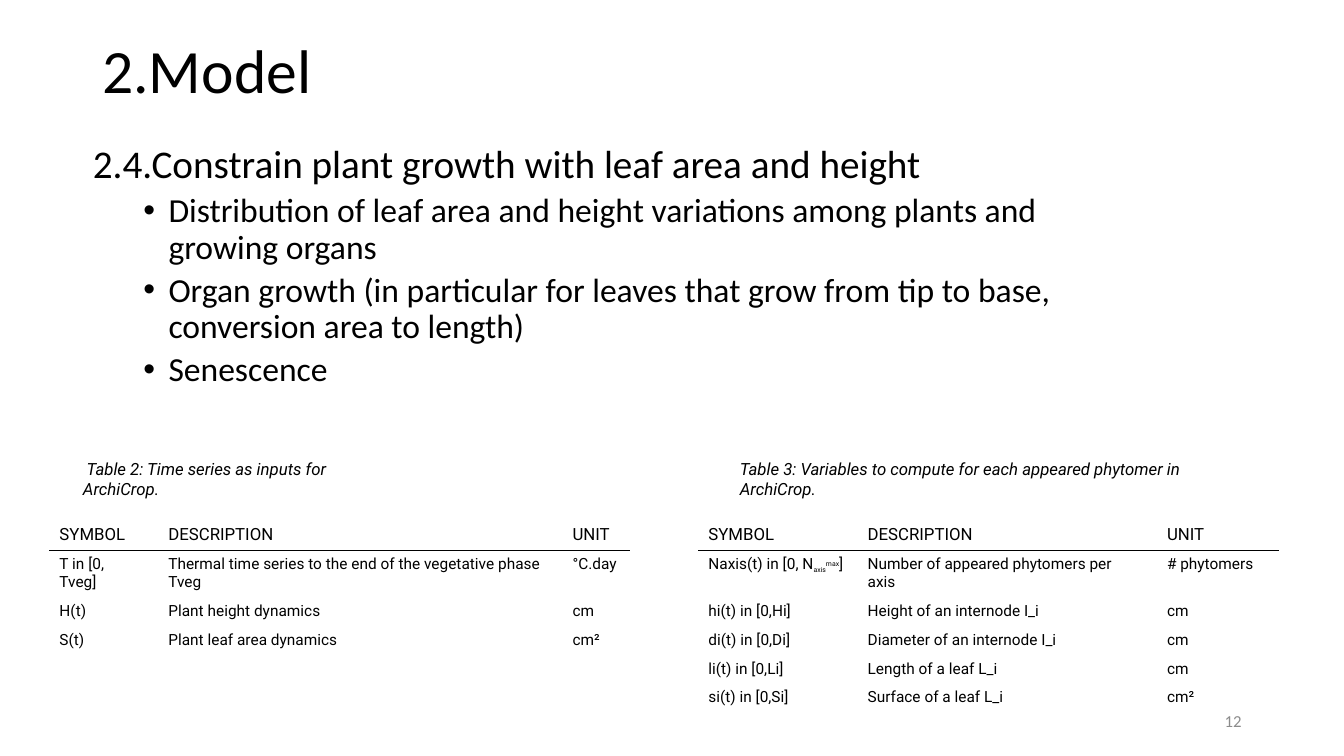
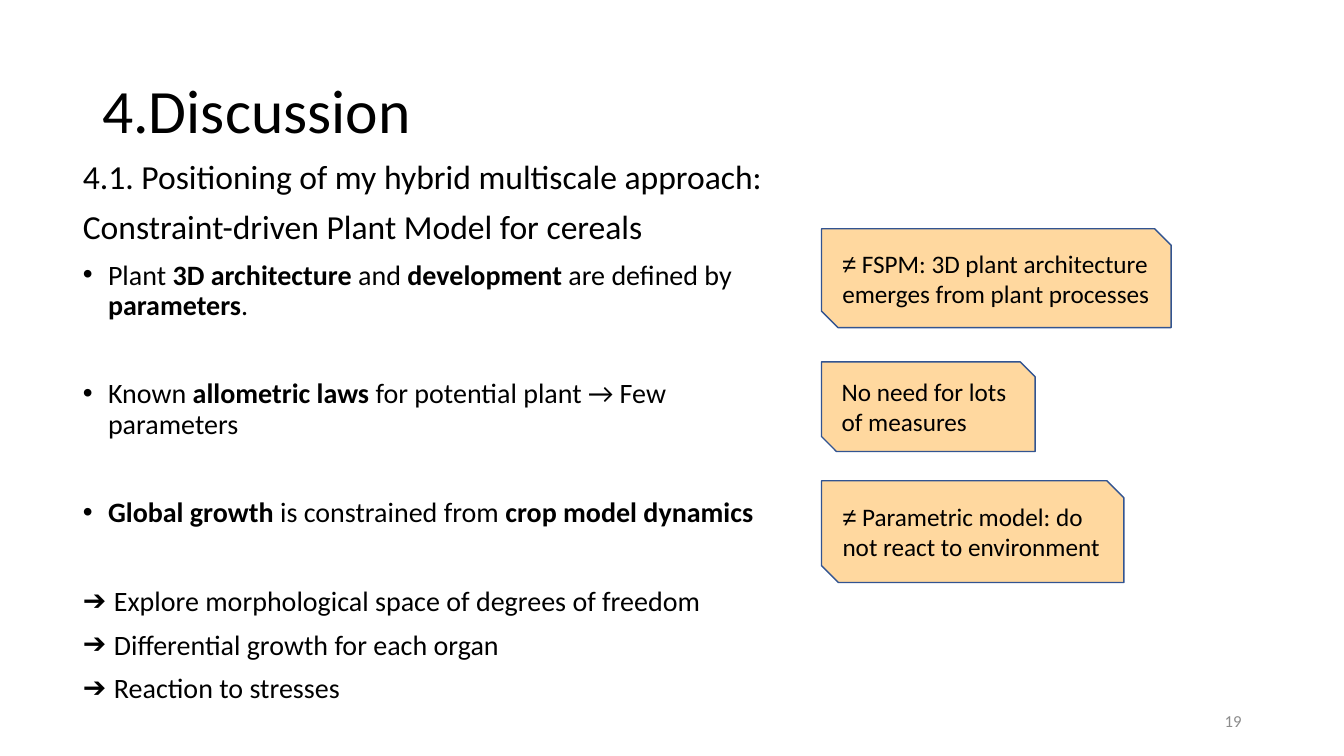
from dataclasses import dataclass

from lxml.etree import SubElement
from pptx import Presentation
from pptx.dml.color import RGBColor
from pptx.enum.shapes import MSO_SHAPE
from pptx.enum.text import MSO_ANCHOR, PP_ALIGN
from pptx.oxml import parse_xml
from pptx.oxml.ns import nsdecls, qn
from pptx.util import Pt


@dataclass(frozen=True)
class Theme:
    ink: RGBColor = RGBColor(0, 0, 0)
    paper: RGBColor = RGBColor(255, 255, 255)
    muted: RGBColor = RGBColor(0x8C, 0x8C, 0x8C)
    callout: RGBColor = RGBColor(0xFF, 0xD8, 0x9F)
    outline: RGBColor = RGBColor(0x32, 0x54, 0x91)
    main_font: str = "Calibri"
    table_font: str = "Roboto"
    symbol_font: str = "Arial"
    title: float = 44
    section: float = 28
    subsection: float = 24
    point: float = 20
    note: float = 18
    small: float = 12
    cell: float = 11
    script: float = 8.5
    rule: float = 1.2
    line_spacing: float = 0.9


THEME = Theme()
NO_TABLE_STYLE = "{2D5ABB26-0587-4C30-8999-92F81FD0307C}"


def style_font(font, size, name=THEME.main_font, color=THEME.ink):
    font.size = Pt(size)
    font.name = name
    font.color.rgb = color


def add_bullet(para, mark, margin, hanging):
    properties = para._p.get_or_add_pPr()
    properties.set("marL", str(Pt(margin)))
    properties.set("indent", str(-Pt(hanging)))
    SubElement(properties, qn("a:buFont")).set("typeface", THEME.symbol_font)
    SubElement(properties, qn("a:buChar")).set("char", mark)


def add_spans(para, spans):
    for text, changes in spans:
        span = para.add_run()
        span.text = text
        for key, value in changes.items():
            if key == "baseline":
                span._r.get_or_add_rPr().set(key, str(value * 1000))
            else:
                setattr(span.font, key, value)


def plain(text):
    return [(text, {})]


def bold(text):
    return (text, {"bold": True})


def text_box(page, place, anchor=MSO_ANCHOR.TOP):
    box = page.shapes.add_textbox(*map(Pt, place))
    box.text_frame.word_wrap = True
    box.text_frame.vertical_anchor = anchor
    return box


def title(page, text, top):
    box = text_box(page, (66, top, 828, 104.4), MSO_ANCHOR.MIDDLE)
    para = box.text_frame.paragraphs[0]
    para.line_spacing = THEME.line_spacing
    style_font(para.font, THEME.title)
    add_spans(para, plain(text))


def page_number(page, number):
    box = text_box(page, (678, 500.5, 216, 28.8), MSO_ANCHOR.MIDDLE)
    para = box.text_frame.paragraphs[0]
    para.alignment = PP_ALIGN.RIGHT
    style_font(para.font, THEME.small, color=THEME.muted)
    add_spans(para, plain(str(number)))


def body(page, place, items):
    frame = text_box(page, place).text_frame
    for index, (spans, size, before, bullet) in enumerate(items):
        para = frame.add_paragraph() if index else frame.paragraphs[0]
        para.line_spacing = THEME.line_spacing
        if index:
            para.space_before = Pt(before)
        if bullet:
            add_bullet(para, *bullet)
        style_font(para.font, size)
        add_spans(para, spans)


def caption(page, place, text):
    box = text_box(page, place, MSO_ANCHOR.MIDDLE)
    box.fill.solid()
    box.fill.fore_color.rgb = THEME.paper
    frame = box.text_frame
    frame.margin_left = frame.margin_right = 0
    frame.margin_top = frame.margin_bottom = 0
    para = frame.paragraphs[0]
    style_font(para.font, THEME.small, THEME.table_font)
    para.font.italic = True
    add_spans(para, plain(text))


def rule_below(cell):
    line = parse_xml(
        f'<a:lnB {nsdecls("a")} w="{Pt(THEME.rule)}"><a:solidFill>'
        f'<a:srgbClr val="{THEME.ink}"/></a:solidFill></a:lnB>'
    )
    cell._tc.get_or_add_tcPr().insert(0, line)


def symbol_table(page, left, top, widths, rows):
    rows = [("SYMBOL", "DESCRIPTION", "UNIT"), *rows]
    heights = [21.6, 33.2] + [20.15] * (len(rows) - 2)
    frame = page.shapes.add_table(
        len(rows), len(widths), Pt(left), Pt(top), Pt(sum(widths)), Pt(sum(heights))
    )
    table = frame.table
    table.first_row = table.horz_banding = False
    table._tbl.tblPr.find(qn("a:tableStyleId")).text = NO_TABLE_STYLE
    for column, width in zip(table.columns, widths):
        column.width = Pt(width)
    for row, height in zip(table.rows, heights):
        row.height = Pt(height)
    for row_index, row in enumerate(rows):
        for column_index, content in enumerate(row):
            cell = table.cell(row_index, column_index)
            cell.fill.background()
            para = cell.text_frame.paragraphs[0]
            size = THEME.cell if row_index else THEME.small
            style_font(para.font, size, THEME.table_font)
            if isinstance(content, str):
                para.text = content
            else:
                add_spans(para, content)
            if row_index == 0:
                rule_below(cell)


def callout(page, place, spans):
    box = page.shapes.add_shape(MSO_SHAPE.SNIP_2_DIAG_RECTANGLE, *map(Pt, place))
    box.shadow.inherit = False
    box.fill.solid()
    box.fill.fore_color.rgb = THEME.callout
    box.line.color.rgb = THEME.outline
    box.line.width = Pt(1)
    frame = box.text_frame
    frame.word_wrap = True
    frame.vertical_anchor = MSO_ANCHOR.MIDDLE
    frame.margin_left, frame.margin_right = Pt(9), Pt(5)
    frame.margin_top = frame.margin_bottom = 0
    para = frame.paragraphs[0]
    para.alignment = PP_ALIGN.LEFT
    style_font(para.font, THEME.note)
    add_spans(para, spans)


def model_page(page):
    title(page, "2.Model", 0.5)
    points = [
        "Distribution of leaf area and height variations among plants and growing organs",
        "Organ growth (in particular for leaves that grow from tip to base, conversion area to length)",
        "Senescence",
    ]
    heading = plain("2.4.Constrain plant growth with leaf area and height")
    body(page, (59.3, 99.6, 736.6, 213), [
        (heading, THEME.section, 0, None),
        *((plain(text), THEME.subsection, 5, ("•", 54, 18)) for text in points),
    ])
    table_top, caption_top, caption_height = 371.5, 327.6, 28.8
    symbol_table(page, 35.3, table_top, (77.8, 288.7, 48.2), [
        ("T in [0,\vTveg]", "Thermal time series to the end of the vegetative phase Tveg", "°C.day"),
        ("H(t)", "Plant height dynamics", "cm"),
        ("S(t)", "Plant leaf area dynamics", "cm²"),
    ])
    script = {"size": Pt(THEME.script)}
    axis_symbol = [
        ("Naxis(t) in [0, N", {}),
        ("axis", {**script, "baseline": -25}),
        ("max", {**script, "baseline": 30}),
        ("]", {}),
    ]
    symbol_table(page, 498.8, table_top, (113.8, 213.8, 87.1), [
        (axis_symbol, "Number of appeared phytomers per\vaxis", "# phytomers"),
        ("hi(t) in [0,Hi]", "Height of an internode I_i", "cm"),
        ("di(t) in [0,Di]", "Diameter of an internode I_i", "cm"),
        ("li(t) in [0,Li]", "Length of a leaf L_i", "cm"),
        ("si(t) in [0,Si]", "Surface of a leaf L_i", "cm²"),
    ])
    caption(page, (59.3, caption_top, 221, caption_height),
            " Table 2: Time series as inputs for ArchiCrop.")
    caption(page, (528.5, caption_top, 355, caption_height),
            "Table 3: Variables to compute for each appeared phytomer in ArchiCrop.")
    page_number(page, 12)


def discussion_page(page):
    title(page, "4.Discussion", 28.8)
    near, far, tight = 10, 41.7, 9.5
    headings = [
        "4.1. Positioning of my hybrid multiscale approach:",
        "Constraint-driven Plant Model for cereals",
    ]
    points = [
        (near, [("Plant ", {}), bold("3D architecture "), ("and ", {}), bold("development"),
                (" are defined by ", {}), bold("parameters"), (".", {})]),
        (far, [("Known ", {}), bold("allometric laws "),
               ("for potential plant → Few parameters", {})]),
        (far, [bold("Global growth "), ("is constrained from ", {}),
               bold("crop model dynamics")]),
    ]
    outcomes = [
        (far, "Explore morphological space of degrees of freedom"),
        (tight, "Differential growth for each organ"),
        (tight, "Reaction to stresses"),
    ]
    body(page, (52.1, 111, 506.2, 419), [
        *((plain(text), THEME.subsection, near, None) for text in headings),
        *((spans, THEME.point, gap, ("•", 18, 18)) for gap, spans in points),
        *((plain(text), THEME.point, gap, ("➔", 22.2, 22.2)) for gap, text in outcomes),
    ])
    unequal = ("≠", {"name": THEME.symbol_font})
    callouts = [
        (163.4, 249.8, 70.6,
         [unequal, (" FSPM: 3D plant architecture emerges from plant processes", {})]),
        (258.5, 152.6, 64, plain("No need for lots of measures")),
        (343.4, 216, 72.7,
         [unequal, (" Parametric model: do not react to environment", {})]),
    ]
    for top, width, height, spans in callouts:
        callout(page, (586.8, top, width, height), spans)
    page_number(page, 19)


def main():
    deck = Presentation()
    deck.slide_width, deck.slide_height = Pt(960), Pt(540)
    for build in (model_page, discussion_page):
        build(deck.slides.add_slide(deck.slide_layouts[6]))
    deck.save("out.pptx")


if __name__ == "__main__":
    main()
